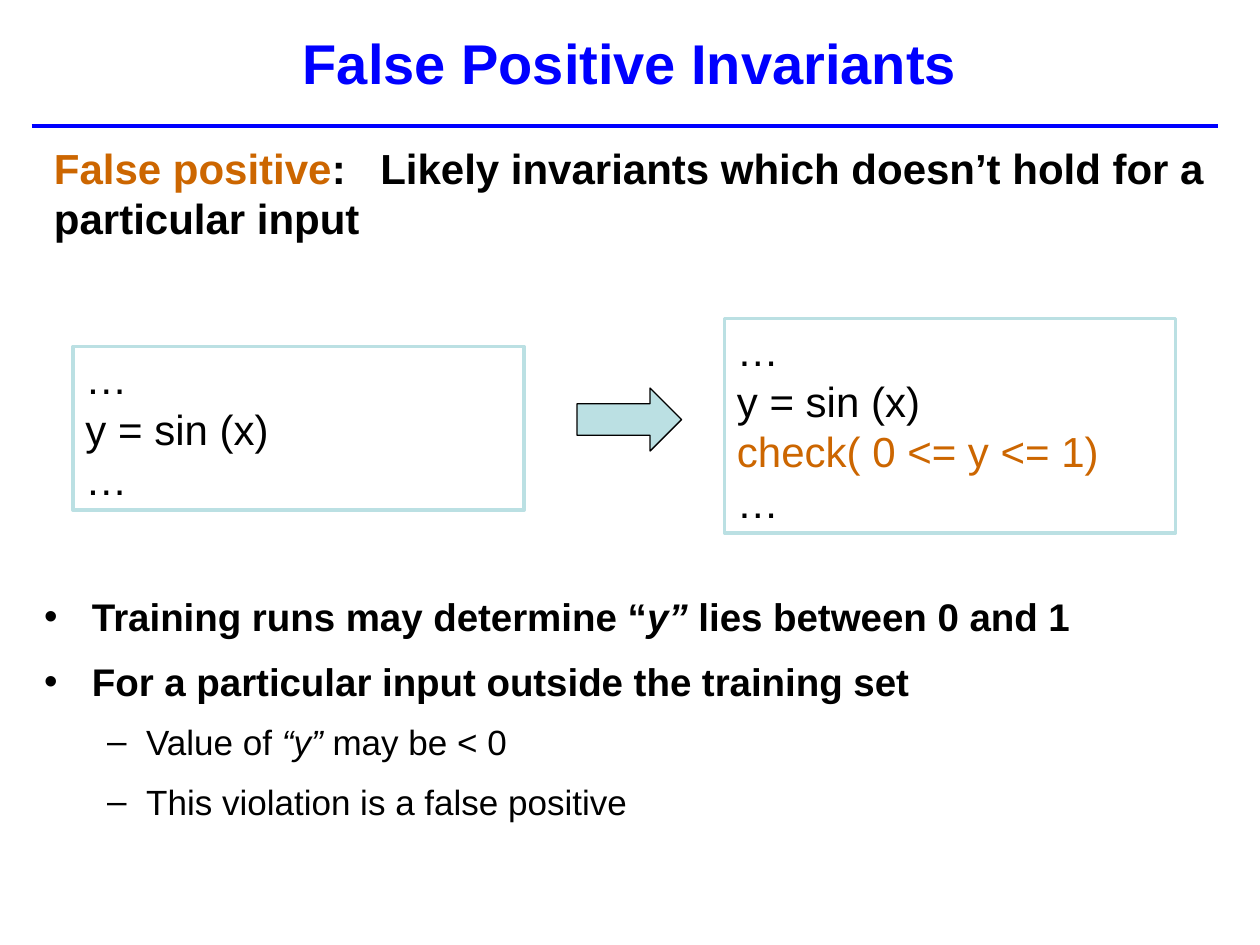
from lxml.etree import SubElement
from pptx import Presentation
from pptx.dml.color import RGBColor
from pptx.enum.shapes import MSO_CONNECTOR, MSO_SHAPE
from pptx.enum.text import MSO_ANCHOR, MSO_AUTO_SIZE, PP_ALIGN
from pptx.oxml.ns import qn
from pptx.util import Inches, Pt

BLUE, ORANGE, TEAL, BLACK = "0000FF", "CC6600", "BBE0E3", "000000"


def color(value):
    """Turn a hex string into a colour."""
    return RGBColor.from_string(value)


def place(shape, box):
    """Move a shape to a box of left, top, width and height in inches."""
    shape.left, shape.top, shape.width, shape.height = map(Inches, box)


def add_run(paragraph, text, size, fill=BLACK, bold=False, italic=False):
    """Add one formatted run to a paragraph."""
    run = paragraph.add_run()
    run.text = text
    font = run.font
    font.name, font.size, font.bold, font.italic = "Arial", Pt(size), bold, italic
    font.color.rgb = color(fill)


def get_paragraph(frame, index):
    """Return the first paragraph of a text frame or append another."""
    return frame.add_paragraph() if index else frame.paragraphs[0]


def set_bullet(paragraph, character, margin, indent):
    """Give a paragraph a bullet character and a hanging indent."""
    properties = paragraph._p.get_or_add_pPr()
    properties.set("marL", str(Inches(margin)))
    properties.set("indent", str(Inches(-indent)))
    SubElement(properties, qn("a:buFont"), typeface="Arial")
    SubElement(properties, qn("a:buChar"), char=character)


def set_tab(paragraph, position):
    """Set a left tab stop on a paragraph."""
    tabs = SubElement(paragraph._p.get_or_add_pPr(), qn("a:tabLst"))
    SubElement(tabs, qn("a:tab"), pos=str(Inches(position)), algn="l")


def add_heading(slide, box):
    """Fill the title placeholder and draw the rule below it."""
    title = slide.shapes.title
    place(title, box)
    frame = title.text_frame
    frame.vertical_anchor = MSO_ANCHOR.MIDDLE
    frame.auto_size = MSO_AUTO_SIZE.NONE
    paragraph = frame.paragraphs[0]
    paragraph.alignment = PP_ALIGN.CENTER
    add_run(paragraph, "False Positive Invariants", 32, BLUE, bold=True)
    rule = slide.shapes.add_connector(
        MSO_CONNECTOR.STRAIGHT, Inches(0.25), Inches(1), Inches(9.67), Inches(1))
    rule.line.color.rgb = color(BLUE)
    rule.line.width = Pt(2)
    SubElement(rule._element.spPr, qn("a:effectLst"))


def add_definition(slide, box):
    """Write the definition of a false positive."""
    frame = slide.shapes.add_textbox(*map(Inches, box)).text_frame
    frame.word_wrap = True
    paragraph = frame.paragraphs[0]
    set_tab(paragraph, 2.59)
    add_run(paragraph, "False positive", 24, ORANGE, bold=True)
    add_run(paragraph, ":\tLikely invariants which doesn’t hold for a particular input",
            24, bold=True)


def add_code(slide, box, lines):
    """Draw an outlined box of code lines, with checks highlighted."""
    shape = slide.shapes.add_shape(MSO_SHAPE.RECTANGLE, *map(Inches, box))
    shape.shadow.inherit = False
    shape.fill.background()
    shape.line.color.rgb = color(TEAL)
    shape.line.width = Pt(2)
    frame = shape.text_frame
    frame.word_wrap = True
    frame.vertical_anchor = MSO_ANCHOR.TOP
    for index, line in enumerate(lines):
        paragraph = get_paragraph(frame, index)
        paragraph.alignment = PP_ALIGN.LEFT
        add_run(paragraph, line, 24, ORANGE if line.startswith("check") else BLACK)


def add_arrow(slide, box):
    """Draw the arrow between the two code boxes."""
    arrow = slide.shapes.add_shape(MSO_SHAPE.RIGHT_ARROW, *map(Inches, box))
    arrow.shadow.inherit = False
    arrow.fill.solid()
    arrow.fill.fore_color.rgb = color(TEAL)
    arrow.line.color.rgb = color(BLACK)
    arrow.line.width = Pt(0.75)


def add_points(slide, box, points):
    """Fill the body placeholder with two levels of points."""
    styles = [("•", 0.38, 0.38, 22, 5.5), ("–", 0.81, 0.31, 20, 5)]
    body = slide.placeholders[1]
    place(body, box)
    frame = body.text_frame
    frame.auto_size = MSO_AUTO_SIZE.NONE
    for index, (level, parts) in enumerate(points):
        character, margin, indent, size, space = styles[level]
        paragraph = get_paragraph(frame, index)
        paragraph.level = level
        paragraph.line_spacing = 1.2
        paragraph.space_before = Pt(space)
        set_bullet(paragraph, character, margin, indent)
        for position, text in enumerate(parts):
            add_run(paragraph, text, size, bold=level == 0, italic=position == 1)


def main():
    """Build the slide and save it."""
    presentation = Presentation()
    presentation.slide_width, presentation.slide_height = Inches(10), Inches(7.5)
    slide = presentation.slides.add_slide(presentation.slide_layouts[1])
    add_heading(slide, (0, 0.08, 10, 0.83))
    add_arrow(slide, (4.58, 3.08, 0.83, 0.5))
    add_code(slide, (0.58, 2.75, 3.58, 1.3), ["…", "y = sin (x)", "…"])
    add_code(slide, (5.75, 2.53, 3.58, 1.7),
             ["…", "y = sin (x)", "check( 0 <= y <= 1)", "…"])
    add_points(slide, (0.25, 4.58, 9.42, 2.67), [
        (0, ["Training runs may determine “", "y”", " lies between 0 and 1"]),
        (0, ["For a particular input outside the training set"]),
        (1, ["Value of ", "“y”", " may be < 0"]),
        (1, ["This violation is a false positive"]),
    ])
    add_definition(slide, (0.33, 1.08, 9.42, 0.9))
    presentation.save("out.pptx")


if __name__ == "__main__":
    main()
